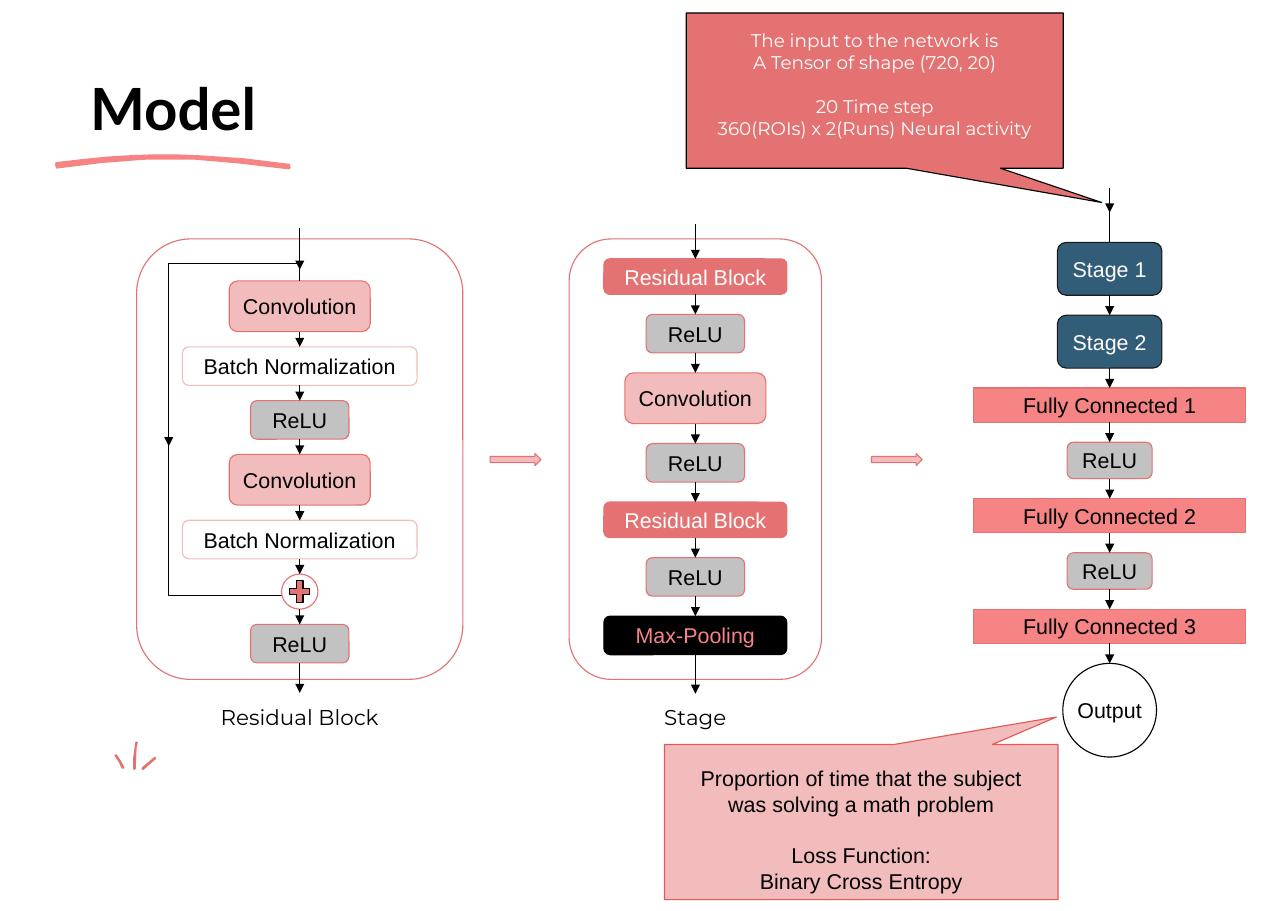
from lxml.etree import SubElement
from pptx import Presentation
from pptx.dml.color import RGBColor
from pptx.enum.shapes import MSO_CONNECTOR, MSO_SHAPE
from pptx.enum.text import MSO_ANCHOR, MSO_AUTO_SIZE, PP_ALIGN
from pptx.oxml.ns import qn
from pptx.util import Cm, Pt

BLACK = RGBColor(0x00, 0x00, 0x00)
WHITE = RGBColor(0xFF, 0xFF, 0xFF)
CORAL = RGBColor(0xE4, 0x72, 0x72)
SALMON = RGBColor(0xF6, 0x84, 0x84)
PINK = RGBColor(0xF2, 0xBC, 0xBC)
RED = RGBColor(0xE5, 0x58, 0x58)
GREY = RGBColor(0xC2, 0xC2, 0xC2)
BLUE = RGBColor(0x32, 0x5D, 0x79)
CHARCOAL = RGBColor(0x19, 0x19, 0x19)

RESIDUAL_X, STAGE_X, NETWORK_X = 6.91, 16.03, 25.58
BYPASS_X = 3.89
PANEL_TOP, PANEL_HEIGHT = 5.51, 10.16
INSET = Cm(0.25)

deck = Presentation()
deck.slide_width, deck.slide_height = Cm(29.69), Cm(21.01)
page = deck.slides.add_slide(deck.slide_layouts[5])
shapes = page.shapes


def paint(shape, fill, line):
    """Set fill and outline; None leaves either one out."""
    shape.shadow.inherit = False
    if fill is None:
        shape.fill.background()
    else:
        shape.fill.solid()
        shape.fill.fore_color.rgb = fill
    if line is None:
        shape.line.fill.background()
    else:
        shape.line.color.rgb = line
        shape.line.width = Pt(0.75)


def draw_line(x, top, bottom, arrow=True):
    """Draw a vertical black line, with an arrowhead at its lower end."""
    line = shapes.add_connector(MSO_CONNECTOR.STRAIGHT, Cm(x), Cm(top), Cm(x), Cm(bottom))
    line.line.color.rgb = BLACK
    line.line.width = Pt(0.75)
    if arrow:
        SubElement(line.line._get_or_add_ln(), qn("a:tailEnd"), type="triangle")
    SubElement(line._element.spPr, qn("a:effectLst"))
    return line


# Title
title = shapes.title
title.left, title.top, title.width, title.height = Cm(0), Cm(1.42), Cm(7.98), Cm(2.13)
frame = title.text_frame
frame.auto_size = MSO_AUTO_SIZE.NONE
frame.vertical_anchor = MSO_ANCHOR.TOP
frame.margin_left = frame.margin_right = frame.margin_top = frame.margin_bottom = INSET
frame.text = "Model"
para = frame.paragraphs[0]
para.alignment = PP_ALIGN.CENTER
para.font.name, para.font.size, para.font.bold = "Lato", Pt(38), True
para.font.color.rgb = BLACK

# Callouts
callouts = [
    ((15.82, 0.3, 8.69, 3.58), (0.602, 0.721, 0), CORAL, BLACK, WHITE, "Montserrat", 12, 0.38,
     ["The input to the network is", "A Tensor of shape (720, 20)",
      "20 Time step", "360(ROIs) x 2(Runs) Neural activity"], 2),
    ((15.32, 17.17, 9.07, 3.58), (0.496, -0.677, 0), PINK, RED, BLACK, "Arial", 14, 0.48,
     ["Proportion of time that the subject was solving a math problem",
      "Loss Function:", "Binary Cross Entropy"], 1),
]
for place, pointer, fill, line, ink, font, size, inset, lines, gap_before in callouts:
    callout = shapes.add_shape(MSO_SHAPE.ROUNDED_RECTANGULAR_CALLOUT, *map(Cm, place))
    for index, value in enumerate(pointer):
        callout.adjustments[index] = value
    paint(callout, fill, line)
    frame = callout.text_frame
    frame.word_wrap = True
    frame.vertical_anchor = MSO_ANCHOR.TOP
    frame.margin_top = Cm(inset)
    frame.margin_left = frame.margin_right = Cm(0.63)
    for index, text in enumerate(lines):
        para = frame.paragraphs[0] if index == 0 else frame.add_paragraph()
        para.text = text
        para.alignment = PP_ALIGN.CENTER
        para.font.name, para.font.size = font, Pt(size)
        para.font.color.rgb = ink
        if index == gap_before:
            para.space_before = Pt(size * 1.2)

# Panels and their captions
for caption, centre, width in [("Residual Block", RESIDUAL_X, 7.52), ("Stage", STAGE_X, 5.82)]:
    panel = shapes.add_shape(MSO_SHAPE.FLOWCHART_ALTERNATE_PROCESS, Cm(centre - width / 2),
                             Cm(PANEL_TOP), Cm(width), Cm(PANEL_HEIGHT))
    paint(panel, WHITE, CORAL)
    box = shapes.add_textbox(Cm(centre - 2.25), Cm(16), Cm(4.5), Cm(1.12))
    frame = box.text_frame
    frame.word_wrap = True
    frame.margin_left = frame.margin_right = frame.margin_top = frame.margin_bottom = INSET
    para = frame.paragraphs[0]
    para.text = caption
    para.alignment = PP_ALIGN.CENTER
    para.font.name, para.font.size = "Montserrat", Pt(14)
    para.font.color.rgb = BLACK

# Bypass line, title underline and the three small strokes
bypass = [(RESIDUAL_X, 5.26), (RESIDUAL_X, 6.07), (BYPASS_X, 6.07),
          (BYPASS_X, 13.74), (RESIDUAL_X, 13.74), (RESIDUAL_X, 14.4)]
underline = [(3.53, 3.56), (3, 3.58), (2.49, 3.61), (1.9, 3.67), (1.28, 3.74), (1.27, 3.81),
             (1.3, 3.89), (2.36, 3.76), (3.4, 3.68), (4.45, 3.68), (5.49, 3.77), (6.68, 3.91),
             (6.7, 3.86), (6.68, 3.78), (5.61, 3.65), (4.57, 3.58), (4.04, 3.56)]
left_stroke = [(2.67, 17.4), (2.64, 17.43), (2.74, 17.58), (2.81, 17.73),
               (2.86, 17.73), (2.87, 17.7), (2.79, 17.55), (2.69, 17.4)]
middle_stroke = [(3.14, 17.1), (3.12, 17.12), (3.07, 17.48), (3.07, 17.74),
                 (3.1, 17.76), (3.13, 17.73), (3.15, 17.25), (3.18, 17.12)]
right_stroke = [(3.57, 17.45), (3.33, 17.65), (3.26, 17.72), (3.29, 17.76),
                (3.32, 17.75), (3.45, 17.63), (3.6, 17.5), (3.58, 17.45)]
for points, fill, line in [(bypass, None, BLACK), (underline, SALMON, None),
                           (left_stroke, CORAL, None), (middle_stroke, CORAL, None),
                           (right_stroke, CORAL, None)]:
    start, *rest = [(Cm(x), Cm(y)) for x, y in points]
    outline = shapes.build_freeform(*start)
    outline.add_line_segments(rest, close=fill is not None)
    paint(outline.convert_to_shape(), fill, line)

# Layer columns: style -> preset, width, height, fill, line, text colour
ROUND = MSO_SHAPE.ROUNDED_RECTANGLE
styles = {
    "convolution": (ROUND, 3.25, 1.17, PINK, CORAL, BLACK),
    "normalization": (ROUND, 5.41, 0.89, WHITE, PINK, BLACK),
    "relu": (ROUND, 2.27, 0.89, GREY, CORAL, BLACK),
    "small relu": (ROUND, 1.96, 0.84, GREY, CORAL, BLACK),
    "sum": (MSO_SHAPE.FLOWCHART_CONNECTOR, 0.84, 0.81, WHITE, CORAL, BLACK),
    "residual": (MSO_SHAPE.FLOWCHART_ALTERNATE_PROCESS, 4.22, 0.82, CORAL, CORAL, WHITE),
    "pooling": (ROUND, 4.22, 0.89, BLACK, BLACK, SALMON),
    "stage": (ROUND, 2.41, 1.22, BLUE, CHARCOAL, WHITE),
    "connected": (MSO_SHAPE.RECTANGLE, 6.27, 0.79, SALMON, CORAL, BLACK),
    "output": (MSO_SHAPE.OVAL, 2.16, 2.16, WHITE, BLACK, BLACK),
}
convolution, relu = ("Convolution", "convolution"), ("ReLU", "relu")
normalization = ("Batch Normalization", "normalization")
residual, small_relu = ("Residual Block", "residual"), ("ReLU", "small relu")
# centre, first top, gap, start of entry line, entry arrowhead, end of exit arrow, layers
columns = [
    (RESIDUAL_X, 6.48, 0.35, 6.17, False, 15.98,
     [convolution, normalization, relu, convolution, normalization, ("", "sum"), relu]),
    (STAGE_X, 5.97, 0.46, 5.16, True, 16,
     [residual, relu, convolution, relu, residual, relu, ("Max-Pooling", "pooling")]),
    (NETWORK_X, 5.59, 0.46, 4.34, False, None,
     [("Stage 1", "stage"), ("Stage 2", "stage"), ("Fully Connected 1", "connected"), small_relu,
      ("Fully Connected 2", "connected"), small_relu, ("Fully Connected 3", "connected"),
      ("Output", "output")]),
]
for centre, top, gap, entry_top, entry_arrow, exit_bottom, layers in columns:
    previous = None
    for label, style in layers:
        preset, width, height, fill, line, ink = styles[style]
        layer = shapes.add_shape(preset, Cm(centre - width / 2), Cm(top), Cm(width), Cm(height))
        paint(layer, fill, line)
        frame = layer.text_frame
        frame.word_wrap = False
        frame.vertical_anchor = MSO_ANCHOR.MIDDLE
        frame.margin_left = frame.margin_right = frame.margin_top = frame.margin_bottom = 0
        if label:
            para = frame.paragraphs[0]
            para.text = label
            para.alignment = PP_ALIGN.CENTER
            para.font.name, para.font.size = "Arial", Pt(14)
            para.font.color.rgb = ink
        else:
            plus = shapes.add_shape(MSO_SHAPE.MATH_PLUS, Cm(centre - 0.32),
                                    Cm(top + height / 2 - 0.34), Cm(0.64), Cm(0.68))
            paint(plus, CORAL, BLACK)
        if previous is None:
            link = draw_line(centre, entry_top, top, entry_arrow)
        else:
            link = draw_line(centre, top - gap, top)
            if previous.auto_shape_type != MSO_SHAPE.FLOWCHART_CONNECTOR:
                link.begin_connect(previous, 2)
        link.end_connect(layer, 0)
        previous = layer
        top += height + gap
    if exit_bottom:
        draw_line(centre, top - gap, exit_bottom).begin_connect(previous, 2)

# Arrowheads along the longer lines
for x, bottom in [(RESIDUAL_X, 6.22), (BYPASS_X, 10.29), (NETWORK_X, 4.9)]:
    draw_line(x, bottom - 0.28, bottom)

# Block arrows between the columns
for left in (11.3, 20.09):
    arrow = shapes.add_shape(MSO_SHAPE.RIGHT_ARROW, Cm(left), Cm(10.46), Cm(1.17), Cm(0.28))
    paint(arrow, PINK, CORAL)

deck.save("out.pptx")
